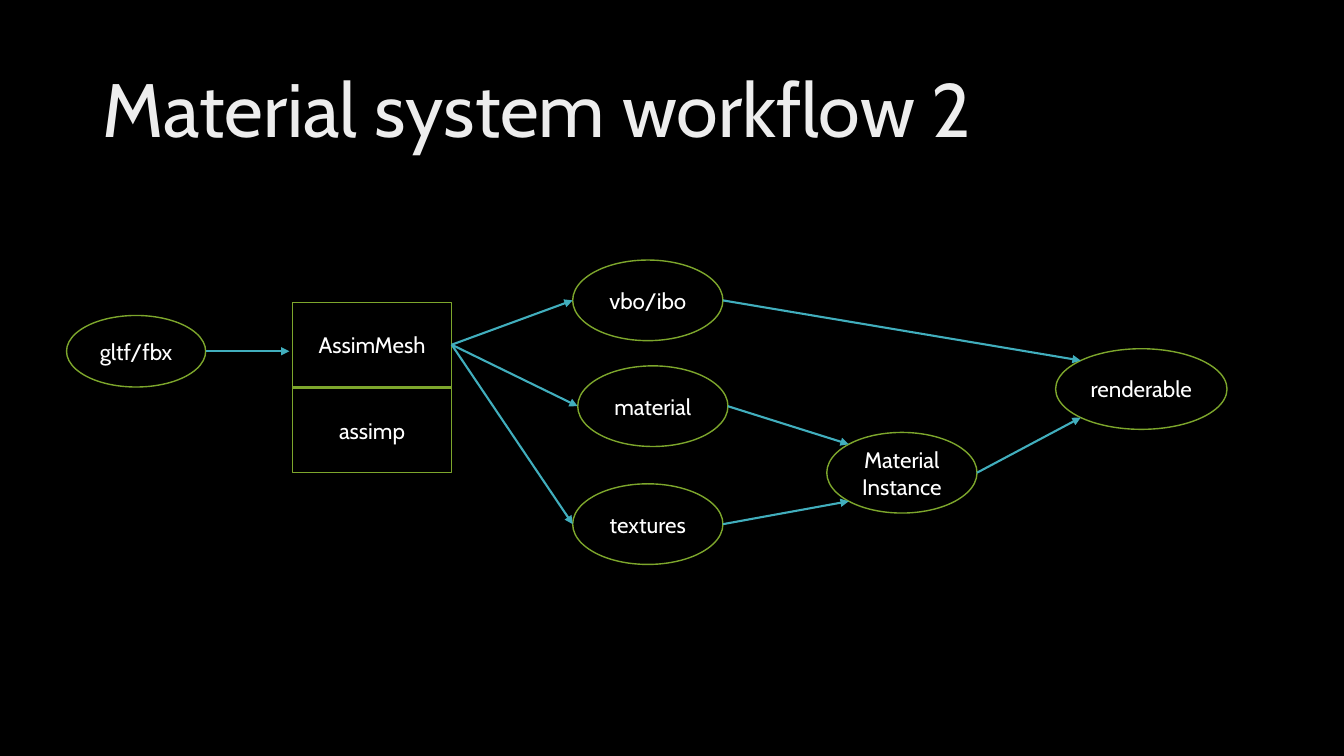
import math
from dataclasses import dataclass

import pptx
import pptx.dml.color
import pptx.enum.shapes
import pptx.enum.text
import pptx.oxml
import pptx.oxml.ns
import pptx.shapes.autoshape
import pptx.shapes.connector
import pptx.slide
import pptx.text.text
import pptx.util

BLACK = pptx.dml.color.RGBColor(0x00, 0x00, 0x00)
WHITE = pptx.dml.color.RGBColor(0xFF, 0xFF, 0xFF)
PALE = pptx.dml.color.RGBColor(0xED, 0xED, 0xED)
GREEN = pptx.dml.color.RGBColor(0x7D, 0xA6, 0x2C)
TEAL = pptx.dml.color.RGBColor(0x41, 0xAE, 0xBD)
FONT = "Cabin"

Inches = pptx.util.Inches
Shape = pptx.enum.shapes.MSO_SHAPE
Point = tuple[float, float]
RIGHT = 3
DIAG = math.sqrt(0.5)


@dataclass(frozen=True)
class Node:
    text: str
    left: float
    top: float
    width: float = 1.49
    height: float = 0.8
    kind: Shape = Shape.OVAL

    def spot(self, across: float, down: float) -> Point:
        """Return a point given in half-widths and half-heights from the centre."""
        return (self.left + self.width / 2 * (1 + across),
                self.top + self.height / 2 * (1 + down))


FILE = Node("gltf/fbx", 0.66, 3.13, 1.38, 0.71)
MESH = Node("AssimMesh", 2.9, 3, 1.58, 0.84, Shape.RECTANGLE)
LOADER = Node("assimp", 2.9, 3.85, 1.58, 0.84, Shape.RECTANGLE)
BUFFER = Node("vbo/ibo", 5.68, 2.58)
MATTER = Node("material", 5.73, 3.63)
IMAGE = Node("textures", 5.68, 4.8)
INSTANCE = Node("Material\nInstance", 8.2, 4.29)
RESULT = Node("renderable", 10.47, 3.46, 1.7)
NODES = (FILE, MESH, LOADER, BUFFER, MATTER, IMAGE, INSTANCE, RESULT)


@dataclass(frozen=True)
class Arrow:
    source: Node
    end: Point


ARROWS = (
    Arrow(FILE, (2.87, FILE.spot(1, 0)[1])),
    *(Arrow(MESH, part.spot(-1, 0)) for part in (BUFFER, MATTER, IMAGE)),
    Arrow(BUFFER, RESULT.spot(-DIAG, -DIAG)),
    Arrow(MATTER, INSTANCE.spot(-DIAG, -DIAG)),
    Arrow(IMAGE, INSTANCE.spot(-DIAG, DIAG)),
    Arrow(INSTANCE, RESULT.spot(-DIAG, DIAG)),
)


def style(para: pptx.text.text._Paragraph, size: float,
          color: pptx.dml.color.RGBColor) -> None:
    para.font.name = FONT
    para.font.size = pptx.util.Pt(size)
    para.font.color.rgb = color


def add_title(slide: pptx.slide.Slide, text: str) -> None:
    box = slide.shapes.add_textbox(Inches(0.92), Inches(0.4), Inches(11.5), Inches(1.45))
    frame = box.text_frame
    frame.word_wrap = True
    frame.vertical_anchor = pptx.enum.text.MSO_ANCHOR.MIDDLE
    frame.text = text
    para = frame.paragraphs[0]
    para.line_spacing = 0.9
    style(para, 54, PALE)


def add_node(slide: pptx.slide.Slide, node: Node) -> pptx.shapes.autoshape.Shape:
    shape = slide.shapes.add_shape(node.kind, Inches(node.left), Inches(node.top),
                                   Inches(node.width), Inches(node.height))
    shape.shadow.inherit = False
    shape.fill.background()
    shape.line.color.rgb = GREEN
    shape.line.width = pptx.util.Pt(1)
    frame = shape.text_frame
    frame.word_wrap = True
    frame.margin_left = frame.margin_right = 0
    frame.vertical_anchor = pptx.enum.text.MSO_ANCHOR.MIDDLE
    frame.text = node.text
    for para in frame.paragraphs:
        para.alignment = pptx.enum.text.PP_ALIGN.CENTER
        style(para, 16, WHITE)
    return shape


def add_arrow(slide: pptx.slide.Slide, arrow: Arrow) -> pptx.shapes.connector.Connector:
    start = arrow.source.spot(1, 0)
    link = slide.shapes.add_connector(
        pptx.enum.shapes.MSO_CONNECTOR.STRAIGHT,
        *(Inches(value) for value in (*start, *arrow.end)))
    link.line.color.rgb = TEAL
    link.line.width = pptx.util.Pt(1.5)
    space = pptx.oxml.ns.nsdecls("a")
    link.line._get_or_add_ln().append(
        pptx.oxml.parse_xml(f'<a:tailEnd {space} type="triangle"/>'))
    link._element.spPr.append(pptx.oxml.parse_xml(f"<a:effectLst {space}/>"))
    return link


def main() -> None:
    deck = pptx.Presentation()
    deck.slide_width = Inches(13.33)
    deck.slide_height = Inches(7.5)
    slide = deck.slides.add_slide(deck.slide_layouts[6])
    slide.background.fill.solid()
    slide.background.fill.fore_color.rgb = BLACK

    add_title(slide, "Material system workflow 2")
    shapes = {node: add_node(slide, node) for node in NODES}
    for arrow in ARROWS:
        link = add_arrow(slide, arrow)
        if arrow.source.kind == Shape.RECTANGLE:
            link.begin_connect(shapes[arrow.source], RIGHT)

    deck.save("out.pptx")


if __name__ == "__main__":
    main()
